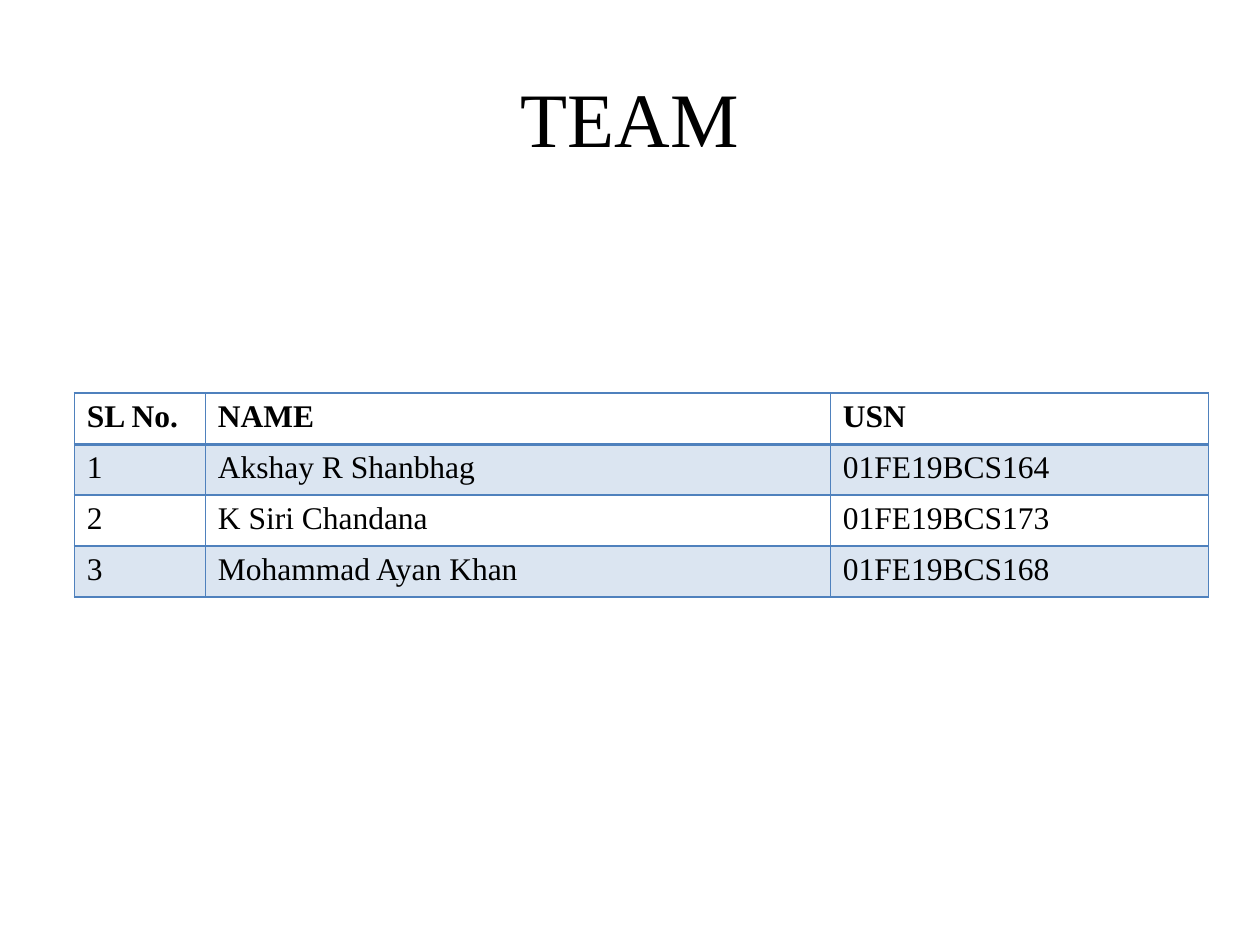
"""Build the team slide with its title and member table."""
from lxml.etree import SubElement
from pptx import Presentation
from pptx.dml.color import RGBColor
from pptx.enum.text import MSO_ANCHOR, PP_ALIGN
from pptx.oxml.ns import qn
from pptx.util import Inches, Pt

TITLE = "TEAM"
ROWS = [
    ("SL No.", "NAME", "USN"),
    ("1", "Akshay R Shanbhag", "01FE19BCS164"),
    ("2", "K Siri Chandana", "01FE19BCS173"),
    ("3", "Mohammad Ayan Khan", "01FE19BCS168"),
]
COLUMN_WIDTHS = (1.04, 4.96, 3)
ROW_HEIGHT = 0.405
COLORS = {"text": "000000", "accent": "4F81BD"}
FONT = "Times New Roman"
BAND_OPACITY = 20


def write_text(frame, text, size=18, bold=False, align=PP_ALIGN.LEFT, anchor=MSO_ANCHOR.TOP):
    frame.vertical_anchor = anchor
    paragraph = frame.paragraphs[0]
    paragraph.alignment = align
    run = paragraph.add_run()
    run.text = text
    run.font.name = FONT
    run.font.size = Pt(size)
    run.font.bold = bold
    run.font.color.rgb = RGBColor.from_string(COLORS["text"])


def add_borders(cell, **widths):
    properties = cell._tc.get_or_add_tcPr()
    for side in ("L", "R", "T", "B"):
        line = SubElement(properties, qn(f"a:ln{side}"), w=str(Pt(widths.get(side, 1))))
        fill = SubElement(line, qn("a:solidFill"))
        SubElement(fill, qn("a:srgbClr"), val=COLORS["accent"])


def fill_cell(cell, banded):
    if not banded:
        cell.fill.background()
        return
    cell.fill.solid()
    cell.fill.fore_color.rgb = RGBColor.from_string(COLORS["accent"])
    color = cell._tc.tcPr.find(qn("a:solidFill")).find(qn("a:srgbClr"))
    SubElement(color, qn("a:alpha"), val=str(BAND_OPACITY * 1000))


def add_team_table(slide):
    table = slide.shapes.add_table(
        len(ROWS), len(COLUMN_WIDTHS), Inches(0.59), Inches(3.12),
        Inches(sum(COLUMN_WIDTHS)), Inches(ROW_HEIGHT * len(ROWS)),
    ).table
    for column, width in zip(table.columns, COLUMN_WIDTHS):
        column.width = Inches(width)
    for row_index, values in enumerate(ROWS):
        is_header = row_index == 0
        for column_index, value in enumerate(values):
            cell = table.cell(row_index, column_index)
            write_text(cell.text_frame, value, bold=is_header)
            add_borders(cell, T=2 if row_index == 1 else 1, B=2 if is_header else 1)
            fill_cell(cell, banded=row_index % 2 == 1)


def main():
    presentation = Presentation()
    presentation.slide_width, presentation.slide_height = Inches(10), Inches(7.5)
    slide = presentation.slides.add_slide(presentation.slide_layouts[5])
    title = slide.shapes.title
    title.left, title.top = Inches(0.5), Inches(0.3)
    title.width, title.height = Inches(9), Inches(1.25)
    write_text(title.text_frame, TITLE, size=44, align=PP_ALIGN.CENTER, anchor=MSO_ANCHOR.MIDDLE)
    add_team_table(slide)
    presentation.save("out.pptx")


if __name__ == "__main__":
    main()
